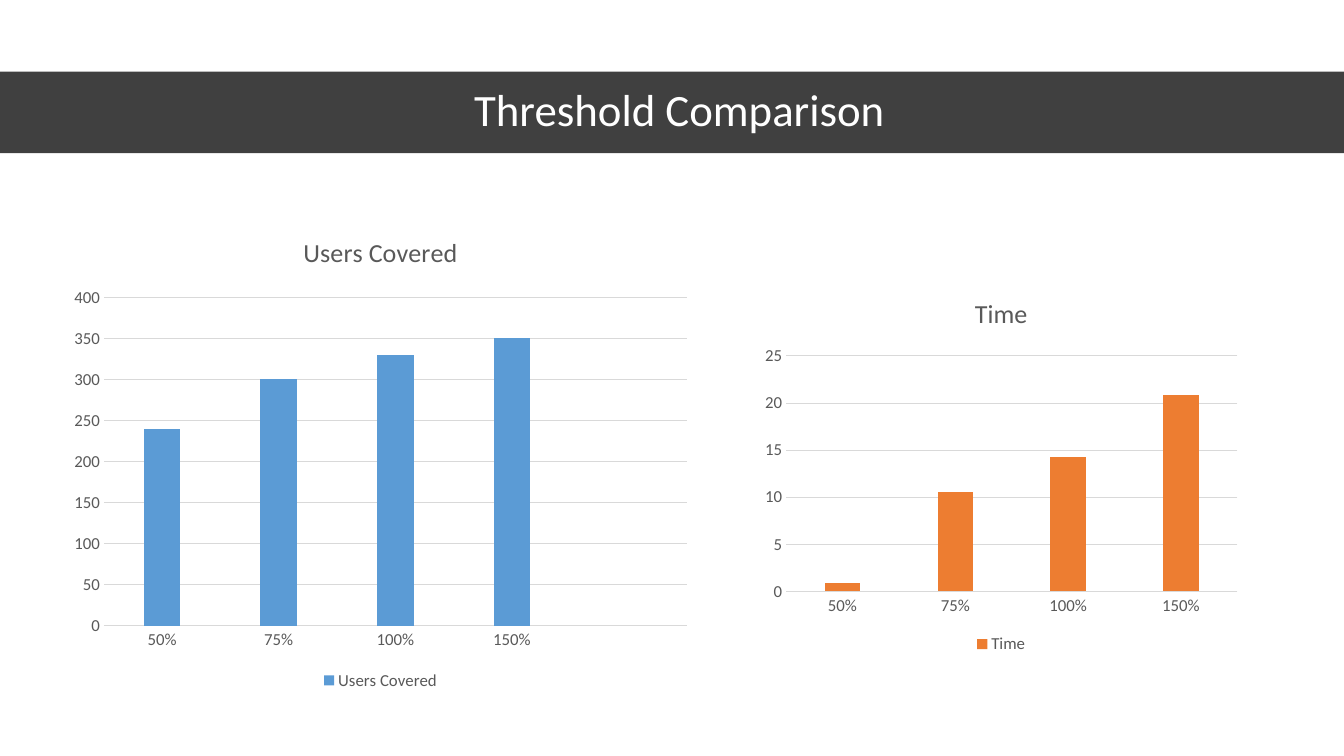
import pptx
import pptx.util
import pptx.chart.data
import pptx.dml.color
import pptx.enum.chart
import pptx.enum.shapes
import pptx.enum.text
from lxml import etree
from pptx.util import Inches, Pt
from pptx.dml.color import RGBColor

BLACK = RGBColor(0x00, 0x00, 0x00)
WHITE = RGBColor(0xFF, 0xFF, 0xFF)
GRAY = RGBColor(0x59, 0x59, 0x59)
PALE = RGBColor(0xD9, 0xD9, 0xD9)
BLUE = RGBColor(0x5B, 0x9B, 0xD5)
ORANGE = RGBColor(0xED, 0x7D, 0x31)
FONT = "Calibri"

HEAD = "Threshold Comparison"
CHARTS = [
    {"name": "Users Covered", "box": (0.61, 2.13, 6.33, 4.76), "color": BLUE,
     "cats": ["50%", "75%", "100%", "150%", ""],
     "vals": [240, 300, 330, 350, None], "top": 400, "step": 50},
    {"name": "Time", "box": (7.49, 2.75, 4.88, 3.78), "color": ORANGE,
     "cats": ["50%", "75%", "100%", "150%"],
     "vals": [0.9, 10.5, 14.3, 20.9], "top": 25, "step": 5},
]


def style(font, size, color):
    font.name = FONT
    font.size = Pt(size)
    font.bold = False
    font.color.rgb = color


def rule(line):
    line.color.rgb = PALE
    line.width = Pt(0.75)


def add_band(slide):
    band = slide.shapes.add_shape(
        pptx.enum.shapes.MSO_SHAPE.RECTANGLE,
        0, Inches(0.71), Inches(13.33), Inches(0.81))
    band.shadow.inherit = False
    band.fill.solid()
    band.fill.fore_color.rgb = BLACK
    band.line.fill.background()
    tone = band.fill._xPr.find(".//" + pptx.oxml.ns.qn("a:srgbClr"))
    etree.SubElement(tone, pptx.oxml.ns.qn("a:alpha"), val="75000")
    slide.shapes._spTree.insert(2, band._element)


def add_head(slide):
    head = slide.shapes.title
    head.left, head.top = Inches(0.61), Inches(0.71)
    head.width, head.height = Inches(12.26), Inches(0.81)
    frame = head.text_frame
    frame.text = HEAD
    frame.vertical_anchor = pptx.enum.text.MSO_ANCHOR.MIDDLE
    para = frame.paragraphs[0]
    para.alignment = pptx.enum.text.PP_ALIGN.CENTER
    para.line_spacing = 0.9
    style(para.font, 32, WHITE)


def add_bars(slide, item):
    data = pptx.chart.data.CategoryChartData()
    data.categories = item["cats"]
    data.add_series(item["name"], item["vals"])
    chart = slide.shapes.add_chart(
        pptx.enum.chart.XL_CHART_TYPE.COLUMN_CLUSTERED,
        *map(Inches, item["box"]), data).chart
    style(chart.font, 10, BLACK)

    chart.has_title = True
    frame = chart.chart_title.text_frame
    frame.text = item["name"]
    style(frame.paragraphs[0].font, 18.6, GRAY)

    chart.has_legend = True
    chart.legend.position = pptx.enum.chart.XL_LEGEND_POSITION.BOTTOM
    chart.legend.include_in_layout = False
    style(chart.legend.font, 12, GRAY)

    plot = chart.plots[0]
    plot.vary_by_categories = False
    plot.gap_width = 219
    plot.overlap = -27
    fill = plot.series[0].format.fill
    fill.solid()
    fill.fore_color.rgb = item["color"]

    cat, val = chart.category_axis, chart.value_axis
    for axis in (cat, val):
        axis.major_tick_mark = pptx.enum.chart.XL_TICK_MARK.NONE
        axis.minor_tick_mark = pptx.enum.chart.XL_TICK_MARK.NONE
        style(axis.tick_labels.font, 12, GRAY)
    rule(cat.format.line)
    val.format.line.fill.background()
    val.has_major_gridlines = True
    rule(val.major_gridlines.format.line)
    val.minimum_scale = 0
    val.maximum_scale = item["top"]
    val.major_unit = item["step"]


def main():
    deck = pptx.Presentation()
    deck.slide_width, deck.slide_height = Inches(13.33), Inches(7.5)
    slide = deck.slides.add_slide(deck.slide_layouts[5])
    add_band(slide)
    add_head(slide)
    for item in CHARTS:
        add_bars(slide, item)
    deck.save("out.pptx")


if __name__ == "__main__":
    main()
